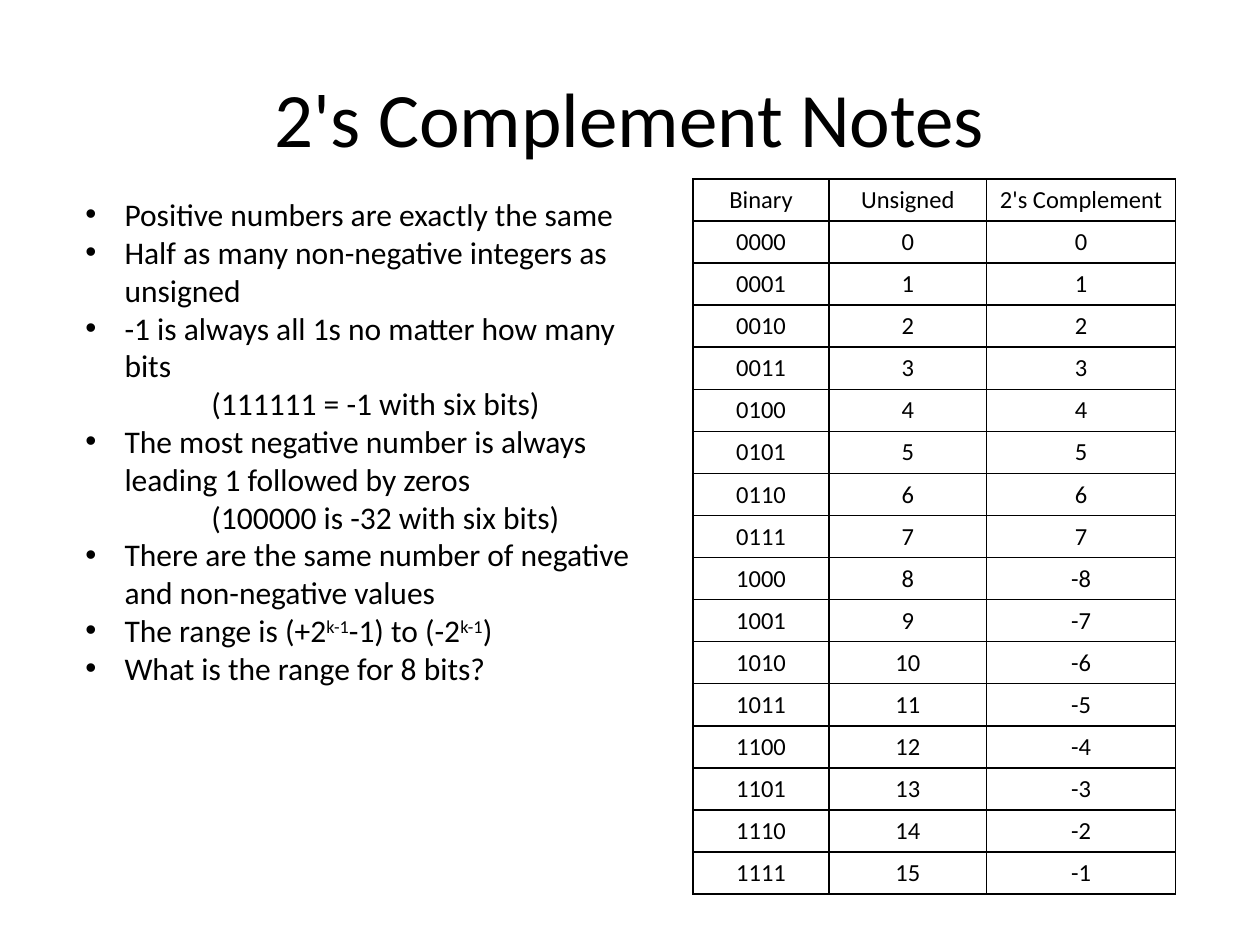
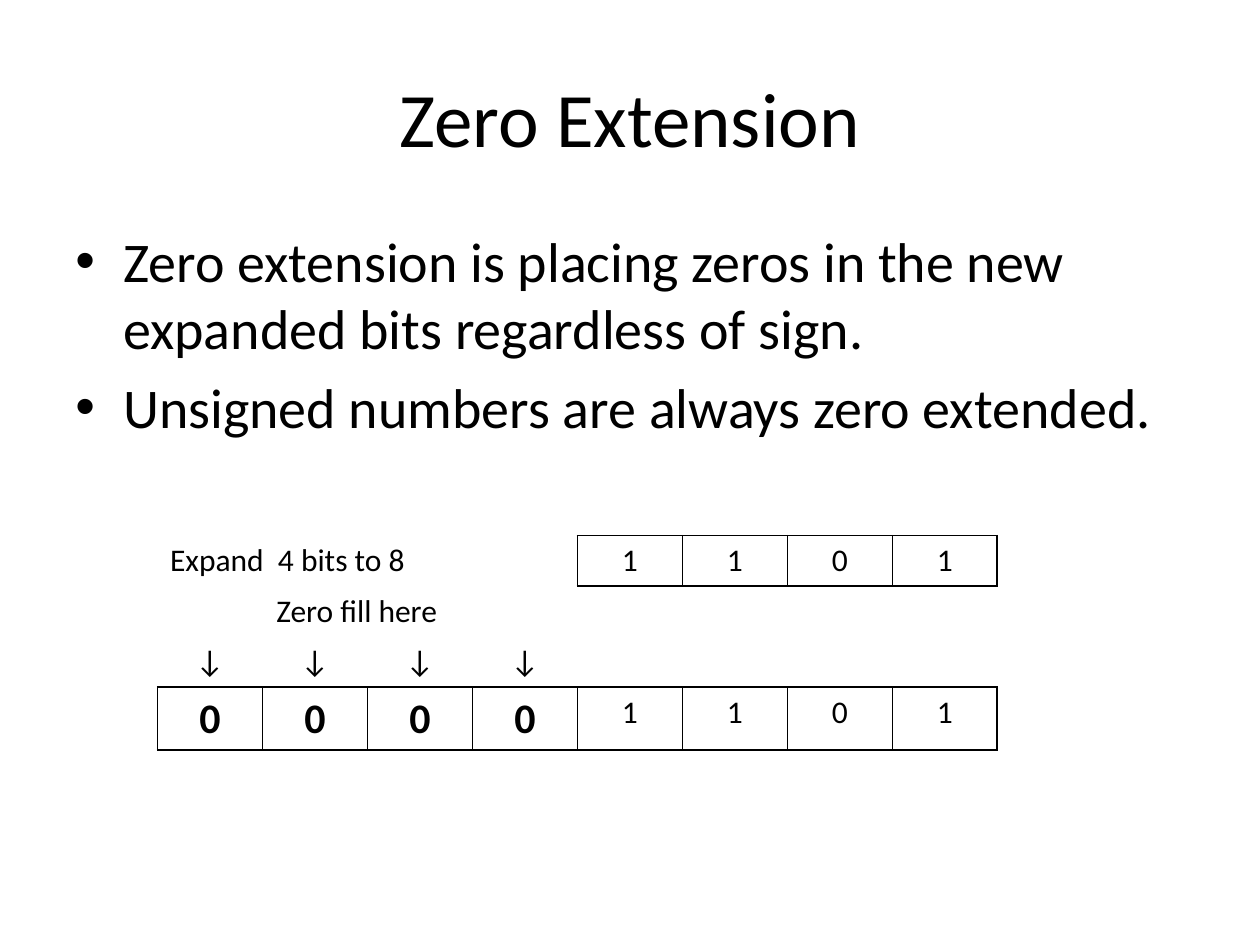
from lxml.etree import SubElement
from pptx import Presentation
from pptx.dml.color import RGBColor
from pptx.enum.text import MSO_ANCHOR as Anchor, PP_ALIGN as Align
from pptx.oxml.ns import qn
from pptx.util import Inches, Pt

COLORS = {"background": "FFFFFF", "text": "000000", "border": "000000"}
FONT = "Calibri"
SIDES = {"L": "a:lnL", "R": "a:lnR", "T": "a:lnT", "B": "a:lnB"}
ALL_SIDES = "LRTB"


class Deck:
    """Holds the shared style and the slide being filled."""

    def __init__(self):
        self.presentation = Presentation()
        self.presentation.slide_width = Inches(10)
        self.presentation.slide_height = Inches(7.5)
        self.slide = None

    def add_slide(self, title):
        layout = self.presentation.slide_layouts[6]
        self.slide = self.presentation.slides.add_slide(layout)
        fill = self.slide.background.fill
        fill.solid()
        fill.fore_color.rgb = RGBColor.from_string(COLORS["background"])
        frame = self.text_frame(0.5, 0.3, 9, 1.25)
        frame.vertical_anchor = Anchor.MIDDLE
        paragraph = frame.paragraphs[0]
        paragraph.alignment = Align.CENTER
        self.add_run(paragraph, title, 44)

    def text_frame(self, left, top, width, height):
        box = self.slide.shapes.add_textbox(
            Inches(left), Inches(top), Inches(width), Inches(height))
        box.text_frame.word_wrap = True
        return box.text_frame

    def add_run(self, paragraph, text, size, bold=False, raised=False):
        run = paragraph.add_run()
        run.text = text
        font = run.font
        font.name, font.size, font.bold = FONT, Pt(size), bold
        font.color.rgb = RGBColor.from_string(COLORS["text"])
        if raised:
            run._r.get_or_add_rPr().set("baseline", "30000")

    def add_list(self, area, items, size, hang, space_before=0):
        """Items are (kind, runs); odd-numbered runs are superscripts."""
        frame = self.text_frame(*area)
        for index, (kind, runs) in enumerate(items):
            paragraph = frame.add_paragraph() if index else frame.paragraphs[0]
            paragraph.space_before = Pt(space_before)
            properties = paragraph._p.get_or_add_pPr()
            if kind == "bullet":
                properties.set("marL", str(Inches(hang)))
                properties.set("indent", str(-Inches(hang)))
                SubElement(properties, qn("a:buFont")).set("typeface", "Arial")
                SubElement(properties, qn("a:buChar")).set("char", "•")
            else:
                properties.set("marL", str(Inches(1)))
            for position, text in enumerate(runs):
                self.add_run(paragraph, text, size, raised=position % 2 == 1)

    def add_table(self, left, top, widths, row_height, row_count):
        frame = self.slide.shapes.add_table(
            row_count, len(widths), Inches(left), Inches(top),
            Inches(sum(widths)), Inches(row_height * row_count))
        table = frame.table
        table.first_row = table.horz_banding = False
        for column, width in zip(table.columns, widths):
            column.width = Inches(width)
        return table

    def style_cell(self, cell, text="", size=18, bold=False,
                   borders=ALL_SIDES, align=Align.CENTER):
        paragraph = cell.text_frame.paragraphs[0]
        paragraph.alignment = align
        if text:
            self.add_run(paragraph, text, size, bold)
        properties = cell._tc.get_or_add_tcPr()
        for side, tag in SIDES.items():
            line = SubElement(properties, qn(tag))
            if side in borders:
                line.set("w", str(Pt(1)))
                solid = SubElement(line, qn("a:solidFill"))
                SubElement(solid, qn("a:srgbClr")).set("val", COLORS["border"])
            else:
                SubElement(line, qn("a:noFill"))
        cell.fill.background()


deck = Deck()

# Slide 1: notes beside the table of four-bit values
deck.add_slide("2's Complement Notes")
BITS = 4
COUNT = 2 ** BITS
rows = [("Binary", "Unsigned", "2's Complement")]
for value in range(COUNT):
    signed = value if value < COUNT // 2 else value - COUNT
    rows.append((f"{value:0{BITS}b}", str(value), str(signed)))
value_table = deck.add_table(5.5, 1.42, [1.08, 1.25, 1.5], 0.33, len(rows))
for row, texts in enumerate(rows):
    for column, text in enumerate(texts):
        deck.style_cell(value_table.cell(row, column), text, size=14)

deck.add_list((0.58, 1.5, 4.75, 4.64), [
    ("bullet", ["Positive numbers are exactly the same"]),
    ("bullet", ["Half as many non-negative integers as unsigned"]),
    ("bullet", ["-1 is always all 1s no matter how many bits"]),
    ("example", ["(111111 = -1 with six bits)"]),
    ("bullet", ["The most negative number is always leading 1 followed by zeros"]),
    ("example", ["(100000 is -32 with six bits)"]),
    ("bullet", ["There are the same number of negative and non-negative values"]),
    ("bullet", ["The range is (+2", "k-1", "-1) to (-2", "k-1", ")"]),
    ("bullet", ["What is the range for 8 bits?"]),
], size=18, hang=0.31)

# Slide 2: rule and worked example
deck.add_slide("Zero Extension")
deck.add_list((0.5, 1.75, 9, 4.95), [
    ("bullet", ["Zero extension is placing zeros in the new "
                "expanded bits regardless of sign."]),
    ("bullet", ["Unsigned numbers are always zero extended."]),
], size=32, hang=0.38, space_before=6.4)

# Bit table: source bits, caption, arrows, extended bits
SOURCE_BITS = "1101"
NEW = 4
bit_table = deck.add_table(1.25, 4.25, [5 / 6] * 8, 0.4, 4)
for row in (0, 1):
    bit_table.cell(row, 0).merge(bit_table.cell(row, NEW - 1))
deck.style_cell(bit_table.cell(0, 0), "Expand  4 bits to 8",
                borders="R", align=Align.LEFT)
caption = bit_table.cell(1, 0)
deck.style_cell(caption, "Zero fill here", borders="")
caption.margin_right = Inches(0.27)
for column in range(NEW):
    if column:
        deck.style_cell(bit_table.cell(0, column),
                        borders="R" if column == NEW - 1 else "")
        deck.style_cell(bit_table.cell(1, column), borders="")
    deck.style_cell(bit_table.cell(2, column), "↓", borders="B")
    deck.style_cell(bit_table.cell(3, column), "0", size=24, bold=True)
for column, bit in enumerate(SOURCE_BITS, start=NEW):
    deck.style_cell(bit_table.cell(0, column), bit)
    deck.style_cell(bit_table.cell(1, column), borders="T")
    deck.style_cell(bit_table.cell(2, column), borders="B")
    deck.style_cell(bit_table.cell(3, column), bit)

deck.presentation.save("out.pptx")
